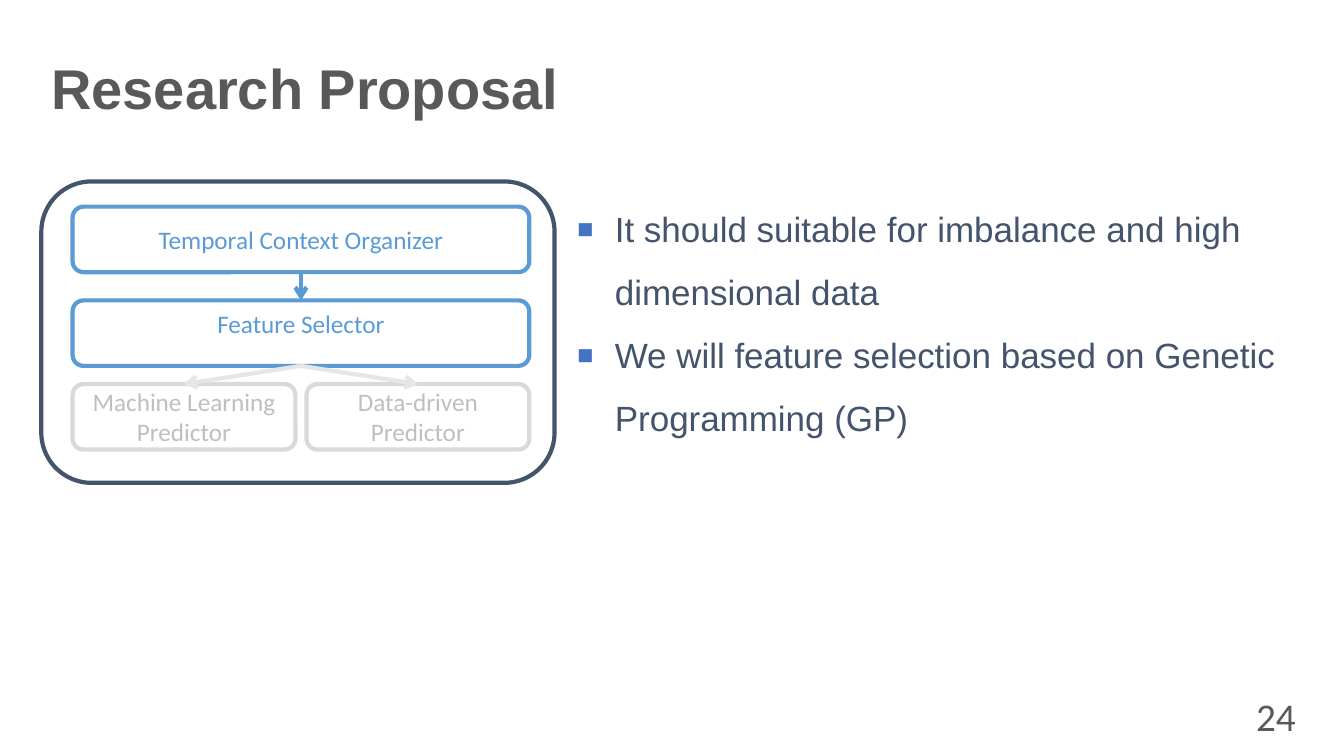
from lxml import etree
from pptx import Presentation
from pptx.dml.color import RGBColor
from pptx.enum.shapes import MSO_CONNECTOR, MSO_SHAPE
from pptx.enum.text import MSO_ANCHOR, PP_ALIGN
from pptx.oxml.ns import qn
from pptx.util import Inches, Pt

ROUNDED = MSO_SHAPE.ROUNDED_RECTANGLE
STRAIGHT = MSO_CONNECTOR.STRAIGHT
TOP, MIDDLE = MSO_ANCHOR.TOP, MSO_ANCHOR.MIDDLE
LEFT, CENTER, RIGHT = PP_ALIGN.LEFT, PP_ALIGN.CENTER, PP_ALIGN.RIGHT

WHITE = RGBColor(0xFF, 0xFF, 0xFF)
NAVY = RGBColor(0x44, 0x54, 0x6A)
BLUE = RGBColor(0x5B, 0x9B, 0xD5)
GREY = RGBColor(0x59, 0x59, 0x59)
PALE_LINE = RGBColor(0xD9, 0xD9, 0xD9)
PALE_TEXT = RGBColor(0xBF, 0xBF, 0xBF)
PALE_ARROW = RGBColor(0xE7, 0xE6, 0xE6)
BULLET = RGBColor(0x44, 0x72, 0xC4)

BOX_LEFT, BOX_WIDTH, BOX_HEIGHT = 0.72, 4.53, 0.65
HALF_WIDTH = 2.21
ORGANIZER_TOP, SELECTOR_TOP, PREDICTOR_TOP = 2.05, 2.98, 3.81
PREDICTORS = (
    (BOX_LEFT, ["Machine Learning", "Predictor"]),
    (BOX_LEFT + BOX_WIDTH - HALF_WIDTH, ["Data-driven", "Predictor"]),
)
POINTS = [
    "It should suitable for imbalance and high dimensional data",
    "We will feature selection based on Genetic Programming (GP)",
]


def write(sp, lines, size, font, color, align=LEFT, anchor=MIDDLE, bold=False, spacing=None):
    """Fill a shape with one paragraph per line of text."""
    tf = sp.text_frame
    tf.word_wrap = True
    tf.vertical_anchor = anchor
    for i, line in enumerate(lines):
        p = tf.add_paragraph() if i else tf.paragraphs[0]
        p.alignment = align
        p.line_spacing = spacing
        r = p.add_run()
        r.text = line
        r.font.size = Pt(size)
        r.font.name = font
        r.font.bold = bold
        r.font.color.rgb = color


def add_text(s, x, y, w, h, lines, size, font, color, **style):
    """Add a text box and return it."""
    sp = s.shapes.add_textbox(Inches(x), Inches(y), Inches(w), Inches(h))
    write(sp, lines, size, font, color, **style)
    return sp


def add_box(s, x, y, w, h, line_color):
    """Add a white rounded box with a coloured outline."""
    sp = s.shapes.add_shape(ROUNDED, Inches(x), Inches(y), Inches(w), Inches(h))
    sp.shadow.inherit = False
    sp.fill.solid()
    sp.fill.fore_color.rgb = WHITE
    sp.line.color.rgb = line_color
    sp.line.width = Pt(3)
    return sp


def add_step(s, x, y, w, lines, line_color, text_color, anchor=MIDDLE):
    """Add one labelled step of the diagram."""
    sp = add_box(s, x, y, w, BOX_HEIGHT, line_color)
    write(sp, lines, 18, "Calibri", text_color, align=CENTER, anchor=anchor)


def add_arrow(s, x1, y1, x2, y2, color):
    """Add a straight line with an open arrowhead at its end."""
    line = s.shapes.add_connector(STRAIGHT, Inches(x1), Inches(y1), Inches(x2), Inches(y2))
    line.line.color.rgb = color
    line.line.width = Pt(3)
    etree.SubElement(line.line._get_or_add_ln(), qn("a:tailEnd"), type="arrow")
    etree.SubElement(line._element.spPr, qn("a:effectLst"))


def add_bullets(sp):
    """Give every paragraph a square bullet and a hanging indent."""
    for p in sp.text_frame.paragraphs:
        pPr = p._p.get_or_add_pPr()
        pPr.set("marL", str(Inches(0.38)))
        pPr.set("indent", str(Inches(-0.38)))
        color = etree.SubElement(pPr, qn("a:buClr"))
        etree.SubElement(color, qn("a:srgbClr"), val=str(BULLET))
        etree.SubElement(pPr, qn("a:buSzPct"), val="150000")
        etree.SubElement(pPr, qn("a:buFont"), typeface="Arial")
        etree.SubElement(pPr, qn("a:buChar"), char="▪")


def add_diagram(s):
    """Draw the framed flow from organizer to predictors."""
    center = BOX_LEFT + BOX_WIDTH / 2
    add_box(s, 0.41, 1.8, 5.09, 2.99, NAVY)
    add_step(s, BOX_LEFT, ORGANIZER_TOP, BOX_WIDTH, ["Temporal Context Organizer"], BLUE, BLUE)
    add_step(s, BOX_LEFT, SELECTOR_TOP, BOX_WIDTH, ["Feature Selector"], BLUE, BLUE, TOP)
    for x, lines in PREDICTORS:
        add_step(s, x, PREDICTOR_TOP, HALF_WIDTH, lines, PALE_LINE, PALE_TEXT)
    add_arrow(s, center, ORGANIZER_TOP + BOX_HEIGHT, center, SELECTOR_TOP, BLUE)
    for x, _ in PREDICTORS:
        add_arrow(s, center, SELECTOR_TOP + BOX_HEIGHT, x + HALF_WIDTH / 2, PREDICTOR_TOP, PALE_ARROW)


def main():
    """Build the slide and save it."""
    prs = Presentation()
    prs.slide_width, prs.slide_height = Inches(13.33), Inches(7.5)
    s = prs.slides.add_slide(prs.slide_layouts[6])
    points = add_text(s, 5.62, 1.8, 7.58, 2.55, POINTS, 25, "Arial", NAVY, anchor=TOP, spacing=1.5)
    add_bullets(points)
    add_diagram(s)
    add_text(s, 0.41, 0.4, 12.77, 1.02, ["Research Proposal"], 40, "Arial", GREY, bold=True, spacing=0.9)
    add_text(s, 11.91, 6.9, 1.04, 0.4, ["24"], 28, "Calibri", GREY, align=RIGHT)
    prs.save("out.pptx")


if __name__ == "__main__":
    main()
